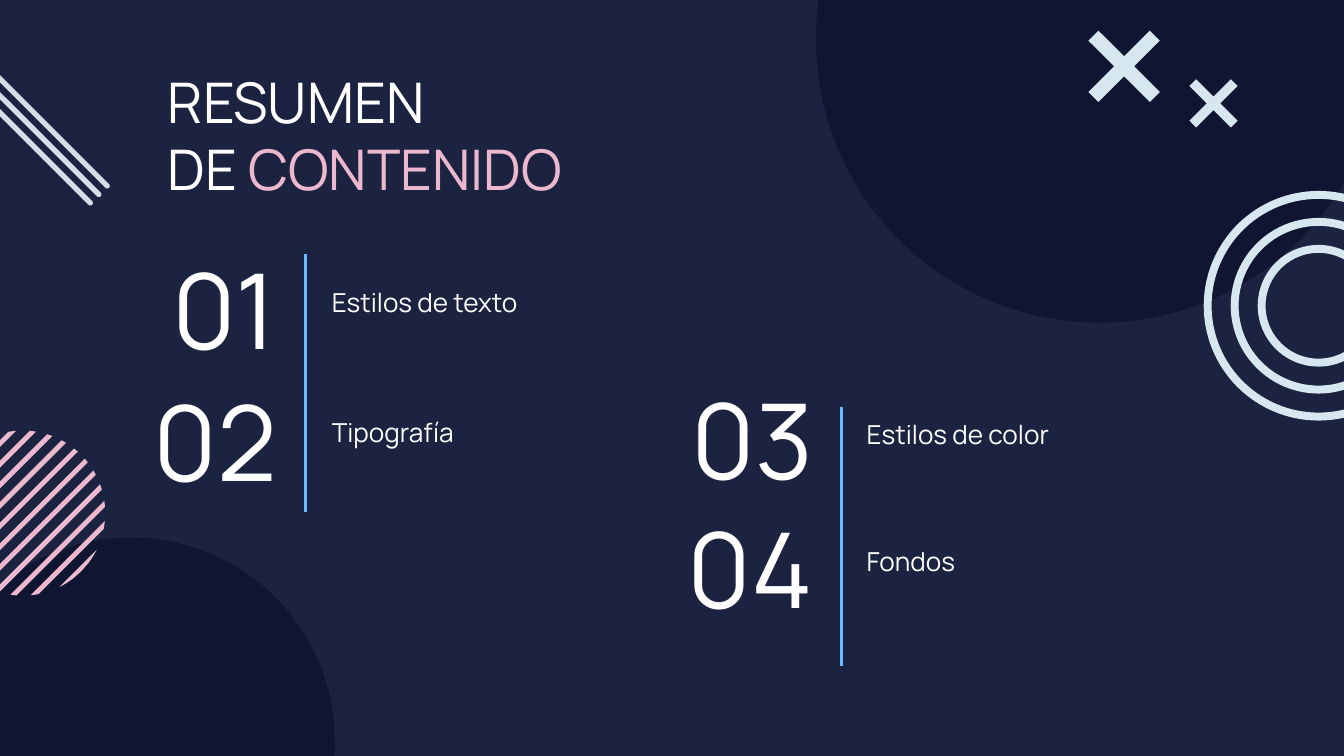
from dataclasses import dataclass
from math import sqrt

from lxml import etree
from pptx import Presentation
from pptx.dml.color import RGBColor
from pptx.enum.shapes import MSO_CONNECTOR, MSO_SHAPE
from pptx.enum.text import MSO_ANCHOR, MSO_AUTO_SIZE, PP_ALIGN
from pptx.oxml.ns import qn
from pptx.util import Cm, Pt

OVAL = MSO_SHAPE.OVAL
DONUT = MSO_SHAPE.DONUT
ROUNDED = MSO_SHAPE.ROUNDED_RECTANGLE
STRAIGHT = MSO_CONNECTOR.STRAIGHT
TOP, MIDDLE = MSO_ANCHOR.TOP, MSO_ANCHOR.MIDDLE
LEFT, RIGHT = PP_ALIGN.LEFT, PP_ALIGN.RIGHT
NO_FIT = MSO_AUTO_SIZE.NONE
COMPARISON_LAYOUT = 3 + 1


@dataclass(frozen=True)
class Theme:
    font: str = "Manrope"
    background: str = "1C2340"
    disc: str = "101632"
    text: str = "FFFFFF"
    pink: str = "ECB8CE"
    ice: str = "D7E7EF"
    bar: str = "D2DFE9"
    rule: str = "67BBFF"
    title_size: int = 30
    number_size: int = 56
    topic_size: int = 14
    rule_width: float = 1.5


THEME = Theme()

TOPICS = [
    ("01", "Estilos de texto", 1.8, 5.49, 6.02, 5.16),
    ("02", "Tipografía", 1.8, 7.98, 6.02, 7.62),
    ("03", "Estilos de color", 11.94, 7.95, 16.13, 7.65),
    ("04", "Fondos", 11.94, 10.39, 16.13, 10.06),
]
RULES = [(5.77, 4.8), (15.9, 7.7)]
RULE_LENGTH = 4.88
DISCS = [(-1.37, 10.16, 7.7), (15.42, -4.62, 10.72)]
CROSSES = [(22.48, 1.5, 0.91), (20.57, 0.58, 1.35)]
RING_DIAMETERS = (4.34, 3.32, 2.3)


def color(value):
    return RGBColor.from_string(value)


def paint(shape, fill):
    shape.shadow.inherit = False
    shape.fill.solid()
    shape.fill.fore_color.rgb = color(fill)
    shape.line.fill.background()
    return shape


def place(shape, left, top, width, height):
    shape.left, shape.top = Cm(left), Cm(top)
    shape.width, shape.height = Cm(width), Cm(height)


def format_frame(frame, anchor):
    frame.word_wrap = True
    frame.auto_size = NO_FIT
    frame.vertical_anchor = anchor
    frame.margin_left = frame.margin_right = Cm(0.25)
    frame.margin_top = frame.margin_bottom = Cm(0.25)


def format_paragraph(paragraph, size, alignment=LEFT):
    paragraph.alignment = alignment
    paragraph.space_before = Pt(0)
    font = paragraph.font
    font.name, font.size, font.bold = THEME.font, Pt(size), False
    font.color.rgb = color(THEME.text)


def remove_bullet(paragraph):
    properties = paragraph._p.get_or_add_pPr()
    properties.set("marL", "0")
    properties.set("indent", "0")
    etree.SubElement(properties, qn("a:buNone"))


def add_preset(slide, preset, left, top, width, height, fill):
    shape = slide.shapes.add_shape(preset, Cm(left), Cm(top), Cm(width), Cm(height))
    return paint(shape, fill)


def add_polygon(slide, points, fill):
    start, *others = [(Cm(x), Cm(y)) for x, y in points]
    builder = slide.shapes.build_freeform(*start)
    builder.add_line_segments(others, close=True)
    paint(builder.convert_to_shape(), fill)


def add_striped_disc(slide, center_x, center_y, radius):
    first, step, thickness, count, samples = 8.32, 0.39, 0.13, 11, 6
    center_sum = center_x + center_y
    rim = center_sum + radius * sqrt(2)
    for index in range(count):
        inner = first + index * step
        outer = rim if index == count - 1 else inner + thickness
        upper, lower = [], []
        for sample in range(samples + 1):
            shift = (inner + (outer - inner) * sample / samples - center_sum) / 2
            half = sqrt(max(0, radius**2 / 2 - shift**2))
            upper.append((center_x + shift + half, center_y + shift - half))
            lower.append((center_x + shift - half, center_y + shift + half))
        add_polygon(slide, upper + lower[::-1], THEME.pink)


def add_rings(slide, center_x, center_y):
    for diameter in RING_DIAMETERS:
        radius = diameter / 2
        ring = add_preset(slide, DONUT, center_x - radius, center_y - radius,
                          diameter, diameter, THEME.ice)
        ring.adjustments[0] = 0.15 / diameter


def add_diagonal_bars(slide, center_x, center_y):
    length, thickness, offset = 4.19, 0.1, 0.16
    for index in range(3):
        bar = add_preset(slide, ROUNDED,
                         center_x - index * offset - length / 2,
                         center_y + index * offset - thickness / 2,
                         length, thickness, THEME.bar)
        bar.adjustments[0] = 0.5
        bar.rotation = 45


def add_cross(slide, left, top, size):
    notch, half = 0.14 * size, size / 2
    outline = [
        (notch, 0), (0, notch), (half - notch, half),
        (0, size - notch), (notch, size), (half, half + notch),
        (size - notch, size), (size, size - notch), (half + notch, half),
        (size, notch), (size - notch, 0), (half, half - notch),
    ]
    add_polygon(slide, [(left + x, top + y) for x, y in outline], THEME.ice)


def add_title(slide):
    title = slide.shapes.title
    place(title, 2.92, 1.02, 10.29, 2.49)
    frame = title.text_frame
    format_frame(frame, TOP)
    first_line, second_line = frame.paragraphs[0], frame.add_paragraph()
    for line in (first_line, second_line):
        format_paragraph(line, THEME.title_size)
    first_line.add_run().text = "RESUMEN"
    second_line.add_run().text = "DE "
    accent = second_line.add_run()
    accent.text = "CONTENIDO"
    accent.font.color.rgb = color(THEME.pink)


def add_number(slide, number, left, top):
    box = slide.shapes.add_textbox(Cm(left), Cm(top), Cm(3.68), Cm(0.66))
    frame = box.text_frame
    format_frame(frame, MIDDLE)
    frame.text = number
    format_paragraph(frame.paragraphs[0], THEME.number_size, RIGHT)


def fill_topic(placeholder, topic, left, top):
    place(placeholder, left, top, 6.53, 1.12)
    frame = placeholder.text_frame
    format_frame(frame, TOP)
    frame.text = topic
    paragraph = frame.paragraphs[0]
    paragraph.space_before = Pt(0)
    remove_bullet(paragraph)
    format_paragraph(paragraph, THEME.topic_size)


def add_rule(slide, x, top):
    rule = slide.shapes.add_connector(STRAIGHT, Cm(x), Cm(top), Cm(x), Cm(top + RULE_LENGTH))
    rule.line.color.rgb = color(THEME.rule)
    rule.line.width = Pt(THEME.rule_width)
    etree.SubElement(rule._element.spPr, qn("a:effectLst"))


def main():
    deck = Presentation()
    deck.slide_width, deck.slide_height = Cm(25.4), Cm(14.29)
    slide = deck.slides.add_slide(deck.slide_layouts[COMPARISON_LAYOUT])
    slide.background.fill.solid()
    slide.background.fill.fore_color.rgb = color(THEME.background)
    topic_placeholders = list(slide.placeholders)[1:]

    add_title(slide)
    for left, top, diameter in DISCS:
        add_preset(slide, OVAL, left, top, diameter, diameter, THEME.disc)
    add_striped_disc(slide, 0.43, 9.7, 1.56)
    add_rings(slide, 24.92, 5.78)
    add_diagonal_bars(slide, 0.58, 2.07)
    for cross in CROSSES:
        add_cross(slide, *cross)
    for placeholder, entry in zip(topic_placeholders, TOPICS):
        number, topic, number_left, number_top, topic_left, topic_top = entry
        add_number(slide, number, number_left, number_top)
        fill_topic(placeholder, topic, topic_left, topic_top)
    for rule in RULES:
        add_rule(slide, *rule)

    deck.save("out.pptx")


if __name__ == "__main__":
    main()
